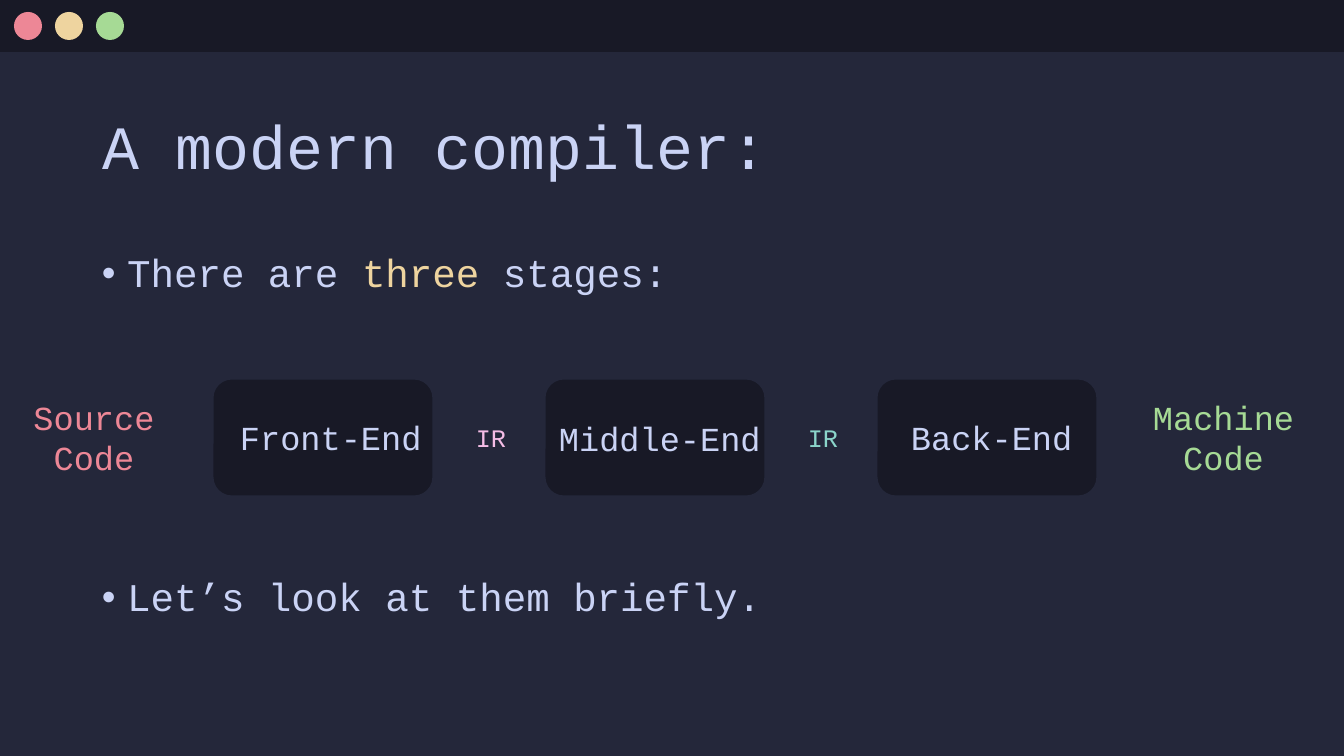
import pptx
import pptx.dml.color
import pptx.enum.shapes
import pptx.enum.text
import pptx.oxml.ns
import pptx.util
from lxml import etree

SHAPE = pptx.enum.shapes.MSO_SHAPE
ALIGN = pptx.enum.text.PP_ALIGN
ANCHOR = pptx.enum.text.MSO_ANCHOR
AUTO = pptx.enum.text.MSO_AUTO_SIZE
SLIDE_W, SLIDE_H = 1344, 756
FONT = "Courier New"
BASE, CRUST, TEXT = "24273A", "181926", "CAD3F5"
RED, YELLOW, GREEN, PINK, TEAL = "ED8796", "EED49F", "A6DA95", "F5BDE6", "8BD5CA"
STAGE_X, STAGE_Y, STAGE_W, STAGE_H, STAGE_STEP = 212, 378, 222, 119, 332
ARROW_Y = 437


def px(n):
    return round(n * 12192000 / SLIDE_W)


def box(*lengths):
    return [px(n) for n in lengths]


def rgb(value):
    return pptx.dml.color.RGBColor.from_string(value)


def apply(target, values):
    for name, value in values.items():
        setattr(target, name, value)


def sub(parent, tag, **attributes):
    return etree.SubElement(parent, pptx.oxml.ns.qn(tag), attributes)


def add_run(p, text, size, color):
    r = p.add_run()
    r.text = text
    apply(r.font, {"name": FONT, "size": pptx.util.Pt(size), "bold": False})
    r.font.color.rgb = rgb(color)


def add_shape(s, kind, at, fill, line=None):
    sp = s.shapes.add_shape(kind, *box(*at))
    sp.shadow.inherit = False
    sp.fill.solid()
    sp.fill.fore_color.rgb = rgb(fill)
    if line:
        sp.line.color.rgb = rgb(line)
        sp.line.width = pptx.util.Pt(2.25)
    else:
        sp.line.fill.background()


def add_label(s, at, text, color, size=24, align=ALIGN.LEFT):
    tf = s.shapes.add_textbox(*box(*at)).text_frame
    apply(tf, {"word_wrap": False, "auto_size": AUTO.SHAPE_TO_FIT_TEXT})
    for i, line in enumerate(text.split("\n")):
        p = tf.paragraphs[0] if i == 0 else tf.add_paragraph()
        p.alignment = align
        add_run(p, line, size, color)


def add_bullet(s, top, runs):
    tf = s.shapes.add_textbox(*box(92, top, 1159, 53)).text_frame
    tf.word_wrap = True
    p = tf.paragraphs[0]
    apply(p, {"line_spacing": 0.9, "space_before": pptx.util.Pt(10)})
    for text, color in runs:
        add_run(p, text, 28, color)
    pPr = p._p.get_or_add_pPr()
    pPr.set("marL", "228600")
    pPr.set("indent", "-228600")
    sub(sub(pPr, "a:buClr"), "a:srgbClr", val=TEXT)
    sub(pPr, "a:buFont", typeface="Arial")
    sub(pPr, "a:buChar", char="•")


def add_arrow(s, start, end):
    kind = pptx.enum.shapes.MSO_CONNECTOR.STRAIGHT
    sp = s.shapes.add_connector(kind, *box(start, ARROW_Y, end, ARROW_Y))
    sp.line.color.rgb = rgb(BASE)
    sp.line.width = pptx.util.Pt(3)
    spPr = sp._element.spPr
    sub(spPr.get_or_add_ln(), "a:tailEnd", type="arrow")
    sub(spPr, "a:effectLst")


def add_title(s, text):
    sp = s.shapes.title
    apply(sp, dict(zip(("left", "top", "width", "height"), box(92, 77, 1159, 146))))
    tf = sp.text_frame
    apply(tf, {"vertical_anchor": ANCHOR.MIDDLE, "word_wrap": True, "auto_size": AUTO.NONE})
    p = tf.paragraphs[0]
    apply(p, {"alignment": ALIGN.LEFT, "line_spacing": 0.9})
    add_run(p, text, 44, TEXT)


def add_window_bar(s):
    add_shape(s, SHAPE.RECTANGLE, (0, 0, SLIDE_W, 52), CRUST)
    for i, color in enumerate((RED, YELLOW, GREEN)):
        add_shape(s, SHAPE.OVAL, (14 + 41 * i, 12, 28, 28), color)


def add_pipeline(s):
    stages = [("Front-End", 230, 412, 203), ("Middle-End", 549, 413, 223), ("Back-End", 901, 412, 183)]
    for i, (name, left, top, width) in enumerate(stages):
        x = STAGE_X + STAGE_STEP * i
        add_shape(s, SHAPE.ROUNDED_RECTANGLE, (x, STAGE_Y, STAGE_W, STAGE_H), CRUST, BASE)
        add_label(s, (left, top, width, 50), name, TEXT)
    for i, color in enumerate((PINK, TEAL)):
        x = STAGE_X + STAGE_W + STAGE_STEP * i
        add_arrow(s, x, x + 32)
        add_label(s, (x + 32, 417, 52, 40), "IR", color, 18)
        add_arrow(s, x + 81, x + 110)
    add_label(s, (23, 392, 142, 91), "Source\nCode", RED, align=ALIGN.CENTER)
    add_arrow(s, 163, STAGE_X)
    add_arrow(s, 1098, 1145)
    add_label(s, (1142, 392, 163, 91), "Machine\nCode", GREEN, align=ALIGN.CENTER)


def main():
    prs = pptx.Presentation()
    apply(prs, {"slide_width": px(SLIDE_W), "slide_height": px(SLIDE_H)})
    s = prs.slides.add_slide(prs.slide_layouts[5])
    s.background.fill.solid()
    s.background.fill.fore_color.rgb = rgb(BASE)
    add_title(s, "A modern compiler:")
    add_window_bar(s)
    add_bullet(s, 249, [("There are ", TEXT), ("three", YELLOW), (" stages:", TEXT)])
    add_pipeline(s)
    add_bullet(s, 573, [("Let’s look at them briefly.", TEXT)])
    prs.save("out.pptx")


if __name__ == "__main__":
    main()
